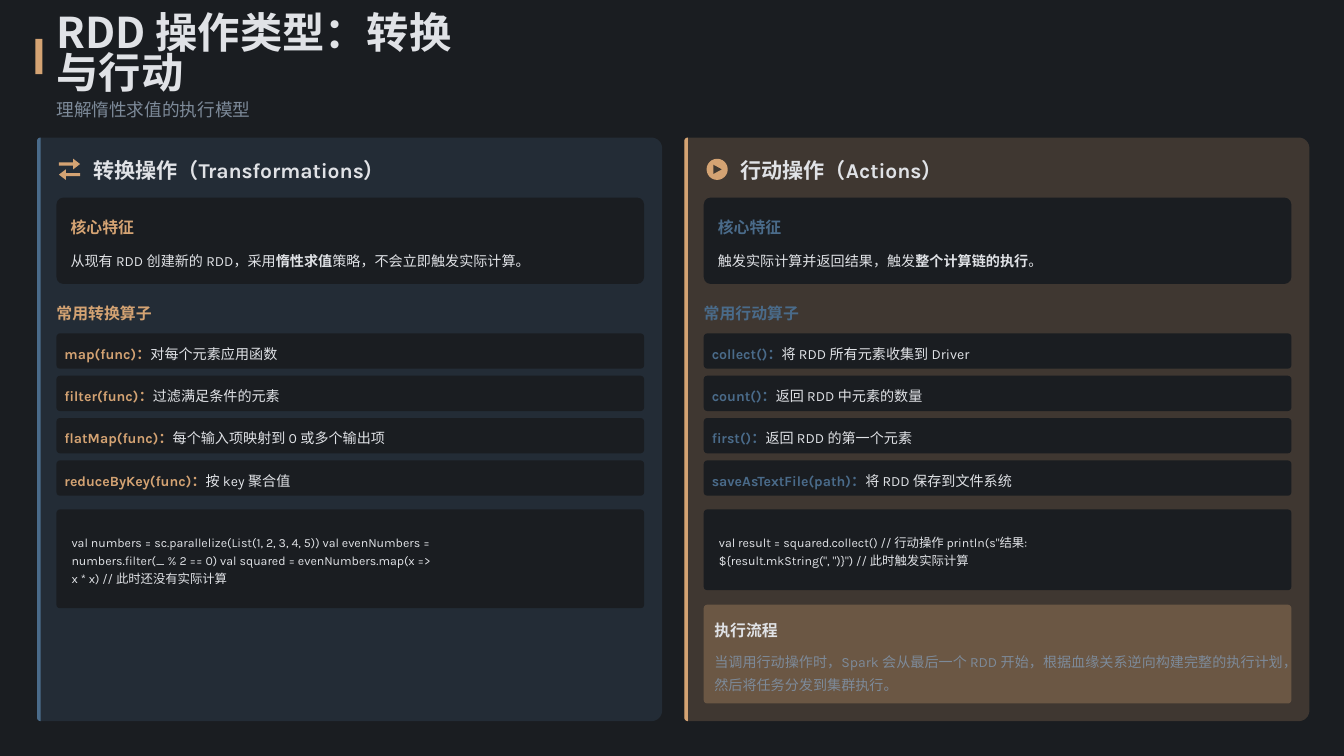
from math import cos, pi, sin

from lxml import etree
from pptx import Presentation
from pptx.dml.color import RGBColor
from pptx.enum.shapes import MSO_SHAPE
from pptx.enum.text import MSO_ANCHOR, MSO_AUTO_SIZE, PP_ALIGN
from pptx.oxml.ns import qn
from pptx.util import Inches, Pt

INK = RGBColor(0x1A, 0x1D, 0x21)
LIGHT = RGBColor(0xE0, 0xE2, 0xE6)
GREY = RGBColor(0x7D, 0x8A, 0x99)
GOLD = RGBColor(0xD4, 0xA3, 0x73)
BLUE = RGBColor(0x4A, 0x6B, 0x8A)
BROWN = RGBColor(0x3F, 0x38, 0x31)

RECT, ROUNDED, OVAL = MSO_SHAPE.RECTANGLE, MSO_SHAPE.ROUNDED_RECTANGLE, MSO_SHAPE.OVAL
RIGHT_ARROW, LEFT_ARROW = MSO_SHAPE.RIGHT_ARROW, MSO_SHAPE.LEFT_ARROW
TRIANGLE = MSO_SHAPE.ISOSCELES_TRIANGLE
MIDDLE, LEFT, NO_FIT = MSO_ANCHOR.MIDDLE, PP_ALIGN.LEFT, MSO_AUTO_SIZE.NONE

CELL = Pt(3.36)
PANEL_TOP, PANEL_WIDTH, PANEL_HEIGHT = 39, 177.2, 165.4
CARD_INDENT, CARD_WIDTH = 5.5, 166.6
ROWS_TOP, ROW_HEIGHT, ROW_PITCH = 94.5, 10, 12


def cells(*counts):
    return [round(count * CELL) for count in counts]


def paint(shape, color, opacity=100):
    shape.shadow.inherit = False
    shape.line.fill.background()
    shape.fill.solid()
    shape.fill.fore_color.rgb = color
    if opacity < 100:
        tint = shape.fill._xPr.find(qn("a:solidFill"))[0]
        etree.SubElement(tint, qn("a:alpha"), val=str(opacity * 1000))


def add_block(page, kind, area, color, opacity=100, radius=0):
    shape = page.shapes.add_shape(kind, *cells(*area))
    paint(shape, color, opacity)
    if radius:
        shape.adjustments[0] = radius / min(area[2:])
    return shape


def add_outline(page, area, left_radius, right_radius, color, opacity=100):
    left, top, width, height = area
    right, bottom = left + width, top + height
    corners = [
        (left + left_radius, top + left_radius, left_radius, 2),
        (right - right_radius, top + right_radius, right_radius, 3),
        (right - right_radius, bottom - right_radius, right_radius, 0),
        (left + left_radius, bottom - left_radius, left_radius, 1),
    ]
    points = [
        cells(x + radius * cos(angle), y + radius * sin(angle))
        for x, y, radius, quarter in corners
        for angle in [(quarter + step / 8) * pi / 2 for step in range(9)]
    ]
    builder = page.shapes.build_freeform(*points[0])
    builder.add_line_segments(points[1:])
    paint(builder.convert_to_shape(), color, opacity)


def write(shape, parts, size, spacing, color=LIGHT, bold=None, font="Karla", insets=(0, 0)):
    frame = shape.text_frame
    frame.auto_size = NO_FIT
    frame.word_wrap = True
    frame.vertical_anchor = MIDDLE
    frame.margin_left, frame.margin_right = cells(*insets)
    frame.margin_top = frame.margin_bottom = 0
    para = frame.paragraphs[0]
    para.alignment = LEFT
    para.line_spacing = spacing
    para.font.name = font
    para.font.size = Pt(size)
    para.font.bold = bold
    para.font.color.rgb = color
    for text, span_color, span_bold in parts:
        span = para.add_run()
        span.text = text
        if span_color is not None:
            span.font.color.rgb = span_color
        if span_bold:
            span.font.bold = True


def plain(text):
    return [(text, None, False)]


def add_text(page, area, parts, size, spacing, **style):
    write(page.shapes.add_textbox(*cells(*area)), parts, size, spacing, **style)


def add_label(page, left, top, text, color):
    add_text(page, (left, top, 160.9, 7), plain(text), 15.1, 1.3, color=color, bold=True)


def add_header(page):
    add_block(page, RECT, (10, 11, 2, 10), GOLD)
    title = page.shapes.title
    title.left, title.top, title.width, title.height = cells(16, 10, 122.4, 12)
    write(title, plain("RDD 操作类型：转换与行动"), 40.3, 0.8, bold=True, font="Noto Sans CJK SC")
    add_text(page, (16, 27, 357.4, 7), plain("理解惰性求值的执行模型"), 16.8, 1.2, color=GREY)


def add_panel(page, left, edge, accent, heading, heading_width, feature,
              list_name, operators, code, code_height, code_width):
    card_left = left + CARD_INDENT
    add_outline(page, (left, PANEL_TOP, PANEL_WIDTH, PANEL_HEIGHT), 1, 3, edge, 20)
    add_outline(page, (left, PANEL_TOP, 1, PANEL_HEIGHT), 1, 0, edge)
    add_text(page, (left + 16, 44, heading_width, 8), plain(heading), 20.1, 1.1, bold=True)

    add_block(page, ROUNDED, (card_left, 56, CARD_WIDTH, 24.5), INK, radius=2)
    add_label(page, card_left + 4, 60, "核心特征", accent)
    before, strong, after = feature
    parts = [(before, None, False), (strong, None, True), (after, None, False)]
    add_text(page, (card_left + 4, 69.9, 160.7, 6.4), parts, 13.4, 1.4)

    add_label(page, card_left, 84.4, list_name, accent)
    for index, (name, meaning) in enumerate(operators):
        area = (card_left, ROWS_TOP + index * ROW_PITCH, CARD_WIDTH, ROW_HEIGHT)
        row = add_block(page, ROUNDED, area, INK, radius=1)
        parts = [(name + "：", accent, True), (meaning, None, False)]
        write(row, parts, 13.4, 1.3, insets=(2, 0))

    area = (card_left, 144.4, CARD_WIDTH, code_height)
    box = add_block(page, ROUNDED, area, INK, radius=1)
    write(box, plain(code), 11.8, 1.2, insets=(4, CARD_WIDTH - 4 - code_width))


def add_swap_icon(page, left, top):
    for kind, shift in ((RIGHT_ARROW, 0), (LEFT_ARROW, 3)):
        arrow = add_block(page, kind, (left, top + shift, 6, 3), GOLD)
        arrow.adjustments[0] = 0.3
        arrow.adjustments[1] = 0.65


def add_play_icon(page, left, top):
    add_block(page, OVAL, (left, top, 6, 6), GOLD)
    add_block(page, TRIANGLE, (left + 1.8, top + 1.8, 2.6, 2.4), BROWN).rotation = 90


def add_flow(page, left):
    add_block(page, ROUNDED, (left, 171.4, CARD_WIDTH, 28), GOLD, 30, radius=1)
    add_label(page, left + 3, 174.4, "执行流程", LIGHT)
    text = ("当调用行动操作时，Spark 会从最后一个 RDD 开始，"
            "根据血缘关系逆向构建完整的执行计划，然后将任务分发到集群执行。")
    add_text(page, (left + 3, 183.4, 162.6, 13.1), plain(text), 13.4, 1.4, color=GREY)


def main():
    deck = Presentation()
    deck.slide_width, deck.slide_height = Inches(17.78), Inches(10)
    page = deck.slides.add_slide(deck.slide_layouts[5])
    page.background.fill.solid()
    page.background.fill.fore_color.rgb = INK
    add_header(page)

    add_panel(
        page, 10.5, BLUE, GOLD, "转换操作（Transformations）", 83.8,
        ("从现有 RDD 创建新的 RDD，采用", "惰性求值", "策略，不会立即触发实际计算。"),
        "常用转换算子",
        [("map(func)", "对每个元素应用函数"),
         ("filter(func)", "过滤满足条件的元素"),
         ("flatMap(func)", "每个输入项映射到 0 或多个输出项"),
         ("reduceByKey(func)", "按 key 聚合值")],
        "val numbers = sc.parallelize(List(1, 2, 3, 4, 5)) "
        "val evenNumbers = numbers.filter(_ % 2 == 0) "
        "val squared = evenNumbers.map(x => x * x) // 此时还没有实际计算",
        28, 105)
    add_swap_icon(page, 16.7, 45)

    add_panel(
        page, 194, GOLD, BLUE, "行动操作（Actions）", 59.4,
        ("触发实际计算并返回结果，触发", "整个计算链的执行", "。"),
        "常用行动算子",
        [("collect()", "将 RDD 所有元素收集到 Driver"),
         ("count()", "返回 RDD 中元素的数量"),
         ("first()", "返回 RDD 的第一个元素"),
         ("saveAsTextFile(path)", "将 RDD 保存到文件系统")],
        "val result = squared.collect() // 行动操作 "
        "println(s\"结果: ${result.mkString(\", \")}\") // 此时触发实际计算",
        22.9, 89.4)
    add_play_icon(page, 200.3, 45)
    add_flow(page, 194 + CARD_INDENT)

    deck.save("out.pptx")


if __name__ == "__main__":
    main()
